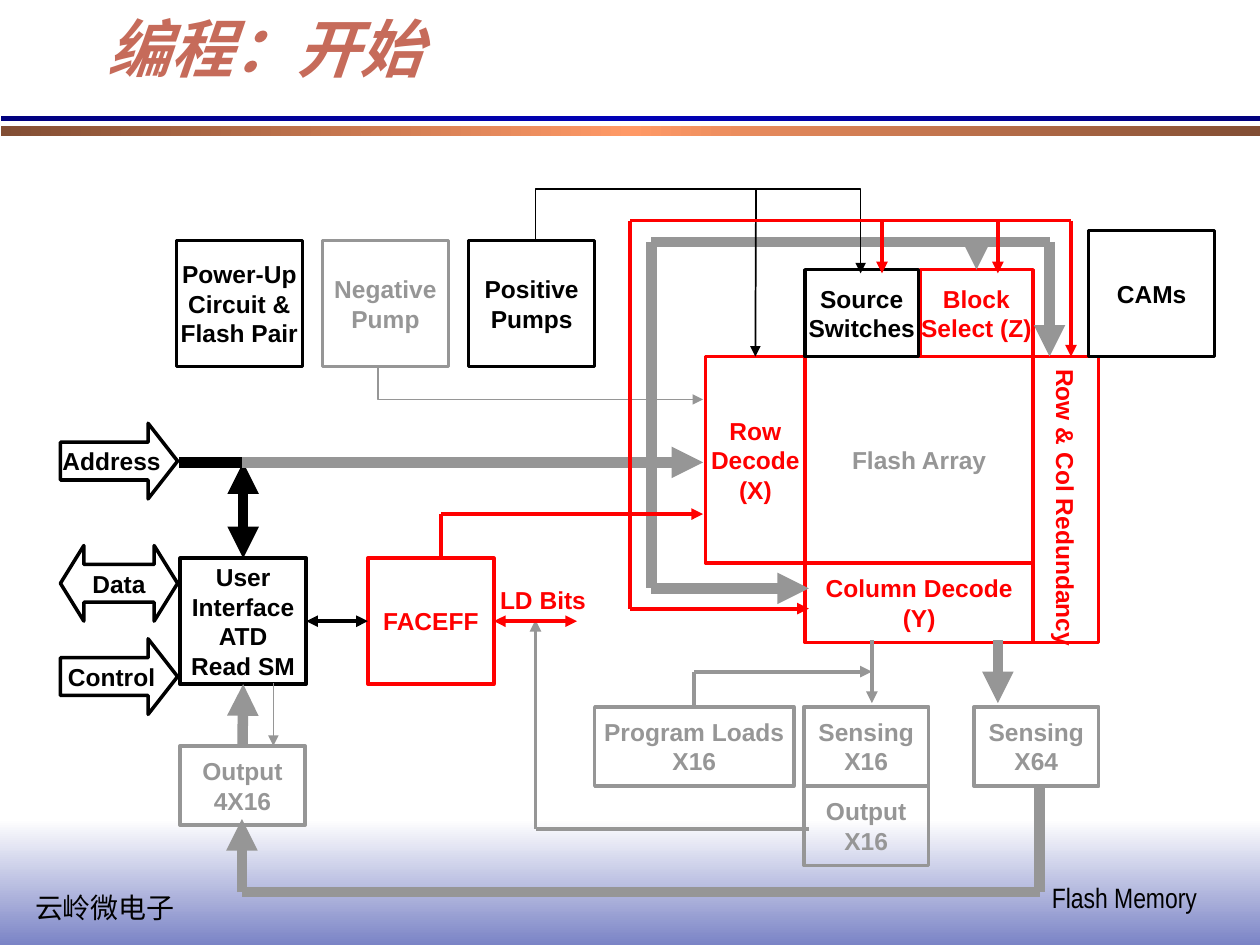
import itertools

import lxml.etree
import pptx
import pptx.dml.color
import pptx.enum.shapes
import pptx.enum.text
import pptx.oxml.ns
import pptx.util

PX = 9144  # EMU in one px, 100 px to the inch
TOP, LEFT, BOTTOM, RIGHT = range(4)
COLORS = {
    "active": "FF0000", "idle": "969696", "ink": "000000", "title": "C66B5A",
    "white": "FFFFFF", "haze": "7B84C6", "brown": "824E34", "orange": "FF9966",
    "navy": "00007E", "blue": "0000B6",
}
SHAPES = pptx.enum.shapes.MSO_SHAPE
ALIGN = pptx.enum.text.PP_ALIGN


def rgb(color):
    return pptx.dml.color.RGBColor.from_string(COLORS[color])


def add_element(parent, tag, **attributes):
    return lxml.etree.SubElement(parent, pptx.oxml.ns.qn(tag), **attributes)


def px(*lengths):
    return [length * PX for length in lengths]


def set_text(shape, text, color, size=14, font="Arial", bold=True, align=ALIGN.CENTER):
    frame = shape.text_frame
    frame.text = text
    for para in frame.paragraphs:
        para.alignment = align
        para.font.size = pptx.util.Pt(size)
        para.font.name = font
        para.font.bold = bold
        para.font.color.rgb = rgb(color)


def style_line(shape, color, width, ends=""):
    """Stroke a shape; ends holds "head" and/or "tail" for its arrowheads."""
    shape.line.color.rgb = rgb(color)
    shape.line.width = pptx.util.Pt(width)
    stroke = shape._element.spPr.find(pptx.oxml.ns.qn("a:ln"))
    for end in ("head", "tail"):
        if end in ends:
            add_element(stroke, f"a:{end}End", type="triangle")


def add_block(page, box, text, color, kind=SHAPES.FLOWCHART_PROCESS):
    block = page.shapes.add_shape(kind, *px(*box))
    block.shadow.inherit = False
    block.fill.background()
    style_line(block, color, 2)
    set_text(block, text, color)
    block.text_frame.word_wrap = False
    block.text_frame.vertical_anchor = pptx.enum.text.MSO_ANCHOR.MIDDLE
    return block


def add_label(page, box, text, color, **style):
    label = page.shapes.add_textbox(*px(*box))
    label.text_frame.word_wrap = False
    label.text_frame.auto_size = pptx.enum.text.MSO_AUTO_SIZE.SHAPE_TO_FIT_TEXT
    set_text(label, text, color, align=ALIGN.LEFT, **style)


def add_band(page, box, colors, angle=0):
    """Rectangle with evenly spaced gradient stops."""
    band = page.shapes.add_shape(SHAPES.RECTANGLE, *px(*box))
    band.shadow.inherit = False
    band.line.fill.background()
    band.fill.gradient()
    band.fill.gradient_angle = angle
    stops = band._element.spPr.find(".//" + pptx.oxml.ns.qn("a:gsLst"))
    stops.clear()
    for index, color in enumerate(colors):
        position = index * 100000 // (len(colors) - 1)
        stop = add_element(stops, "a:gs", pos=str(position))
        add_element(stop, "a:srgbClr", val=COLORS[color])


def add_route(page, points, color, width, ends="tail", begin=None, end=None):
    """Straight connectors through points; begin and end are (block, side)."""
    legs = list(itertools.pairwise(points))
    for index, (start, stop) in enumerate(legs):
        first, last = index == 0, index == len(legs) - 1
        leg = page.shapes.add_connector(
            pptx.enum.shapes.MSO_CONNECTOR.STRAIGHT, *px(*start, *stop))
        shown = ("head" if first and "head" in ends else "") + (
            "tail" if last and "tail" in ends else "")
        style_line(leg, color, width, shown)
        add_element(leg._element.spPr, "a:effectLst")
        if first and begin:
            leg.begin_connect(*begin)
        if last and end:
            leg.end_connect(*end)


def add_bent_arrow(page, points, color):
    builder = page.shapes.build_freeform(*points[0], scale=PX)
    builder.add_line_segments(points[1:], close=False)
    arrow = builder.convert_to_shape()
    arrow.shadow.inherit = False
    arrow.fill.background()
    style_line(arrow, color, 1, "tail")


def draw_backdrop(page, left, top, width, height):
    add_band(page, (left, top + height - 100, width, 100), ["white", "haze"], 270)
    add_band(page, (left + 1, top + 100, width - 1, 8), ["brown", "orange", "brown"])
    add_band(page, (left + 1, top + 92, width - 1, 4), ["navy", "blue", "navy"])
    for x, y, wide, text in [(18, 702, 131, "云岭微电子"), (825, 694, 135, "Flash Memory")]:
        add_label(page, (left + x, top + y, wide, 37), text, "ink",
                  size=16, font="Arial Narrow", bold=False)


def draw_title(page, left, top, width, height):
    title = page.shapes.title
    title.left, title.top, title.width, title.height = px(left, top, width, height)
    set_text(title, "编程：开始", "title", 36, "Arial Narrow", align=ALIGN.LEFT)
    title.text_frame.vertical_anchor = pptx.enum.text.MSO_ANCHOR.MIDDLE
    para = title.text_frame.paragraphs[0]
    para.font.italic = True
    para.line_spacing = 0.88


def draw_pumps(page, left, top):
    pumps = [("Power-Up\nCircuit &\nFlash Pair", "ink"),
             ("Negative\nPump", "idle"), ("Positive\nPumps", "ink")]
    for index, (text, color) in enumerate(pumps):
        add_block(page, (left + 116 * index, top, 100, 100), text, color)


def draw_interface(page, left, top):
    """Bus arrows, user interface and command engine."""
    for y, text, kind, point in [(0, "Address", SHAPES.RIGHT_ARROW, 0.39),
                                 (97, "Data", SHAPES.LEFT_RIGHT_ARROW, 0.31),
                                 (171, "Control", SHAPES.RIGHT_ARROW, 0.39)]:
        arrow = add_block(page, (left, top + y, 93, 60), text, "ink", kind)
        arrow.adjustments[1] = point
    add_label(page, (left + 339, top + 123, 88, 34), "LD Bits", "active")
    return {
        "user": add_block(page, (left + 95, top + 107, 100, 100),
                          "User\nInterface\nATD\nRead SM", "ink"),
        "engine": add_block(page, (left + 244, top + 107, 100, 100), "FACEFF", "active"),
    }


def draw_array(page, left, top):
    """Flash array with its decoders, switches and redundancy."""
    blocks = {}
    for name, x, y, wide, high, text, color in [
            ("array", 79, 69, 181, 164, "Flash Array", "idle"),
            ("redundancy", 260, 69, 52, 227, "Row & Col Redundancy", "active"),
            ("column", 79, 233, 181, 63, "Column Decode\n(Y)", "active"),
            ("row", 0, 69, 79, 164, "Row\nDecode\n(X)", "active"),
            ("select", 170, 0, 90, 69, "Block\nSelect (Z)", "active"),
            ("switches", 79, 0, 90, 69, "Source\nSwitches", "ink"),
            ("cams", 304, -31, 100, 100, "CAMs", "ink")]:
        blocks[name] = add_block(page, (left + x, top + y, wide, high), text, color)
    frame = blocks["redundancy"].text_frame
    frame.margin_left = frame.margin_right = 5 * PX
    frame.margin_top = frame.margin_bottom = 10 * PX
    frame._txBody.bodyPr.set("vert", "eaVert")
    return blocks


def draw_outputs(page, left, top):
    blocks = {}
    for name, x, y, wide, text in [
            ("loads", 329, 0, 158, "Program Loads\nX16"),
            ("sensing", 495, 0, 99, "Sensing\nX16"),
            ("output", 495, 63, 99, "Output\nX16"),
            ("wide sensing", 630, 0, 99, "Sensing\nX64"),
            ("wide output", 0, 31, 99, "Output\n4X16")]:
        blocks[name] = add_block(page, (left + x, top + y, wide, 63), text, "idle")
    return blocks


def draw_wiring(page, blocks):
    """Signals between regions, in page px."""
    user, engine = blocks["user"], blocks["engine"]
    thin, medium, thick = 1, 2.25, 6

    add_bent_arrow(page, [(300, 292), (300, 317), (558, 317)], "idle")
    add_route(page, [(692, 508), (692, 558)], "idle", medium)
    add_route(page, [(792, 508), (792, 558)], "idle", thick)
    add_route(page, [(551, 561), (551, 533), (692, 533)], "idle", medium,
              begin=(blocks["loads"], TOP))
    add_route(page, [(642, 658), (425, 658), (425, 492)], "idle", medium)
    add_route(page, [(825, 625), (825, 708), (192, 708), (192, 650)], "idle", thick)
    add_route(page, [(192, 592), (192, 543)], "idle", thick,
              begin=(blocks["wide output"], TOP), end=(user, BOTTOM))
    add_route(page, [(217, 542), (217, 592)], "idle", thin)

    add_route(page, [(392, 493), (458, 493)], "active", medium, "head tail",
              begin=(engine, RIGHT))
    add_route(page, [(243, 493), (292, 493)], "ink", medium, "head tail",
              begin=(user, RIGHT), end=(engine, LEFT))
    add_route(page, [(193, 367), (193, 443)], "ink", thick, "head tail",
              end=(user, TOP))

    add_route(page, [(192, 367), (558, 367)], "idle", thick)
    add_route(page, [(517, 192), (517, 467), (642, 467)], "idle", thick)
    add_route(page, [(517, 192), (833, 192), (833, 283)], "idle", thick)
    add_route(page, [(775, 192), (775, 214)], "idle", thick, end=(blocks["select"], TOP))
    add_route(page, [(142, 367), (192, 367)], "ink", thick, "")

    add_bent_arrow(page, [(425, 192), (425, 150), (683, 150), (683, 217)], "ink")
    add_route(page, [(600, 150), (600, 283)], "ink", thin, end=(blocks["row"], TOP))

    add_route(page, [(500, 175), (500, 483), (642, 483)], "active", medium)
    add_route(page, [(500, 175), (850, 175), (850, 283)], "active", medium)
    add_route(page, [(350, 442), (350, 408), (558, 408)], "active", medium)
    for x in (700, 792):
        add_route(page, [(x, 175), (x, 217)], "active", medium)


def main():
    deck = pptx.Presentation()
    deck.slide_width, deck.slide_height = px(1000, 750)
    page = deck.slides.add_slide(deck.slide_layouts[5])
    draw_backdrop(page, 0, 0, 1000, 750)
    draw_title(page, 75, 0, 850, 83)
    draw_pumps(page, 140, 191)
    blocks = draw_interface(page, 48, 336)
    blocks |= draw_array(page, 560, 214)
    blocks |= draw_outputs(page, 143, 561)
    draw_wiring(page, blocks)
    deck.save("out.pptx")


if __name__ == "__main__":
    main()
